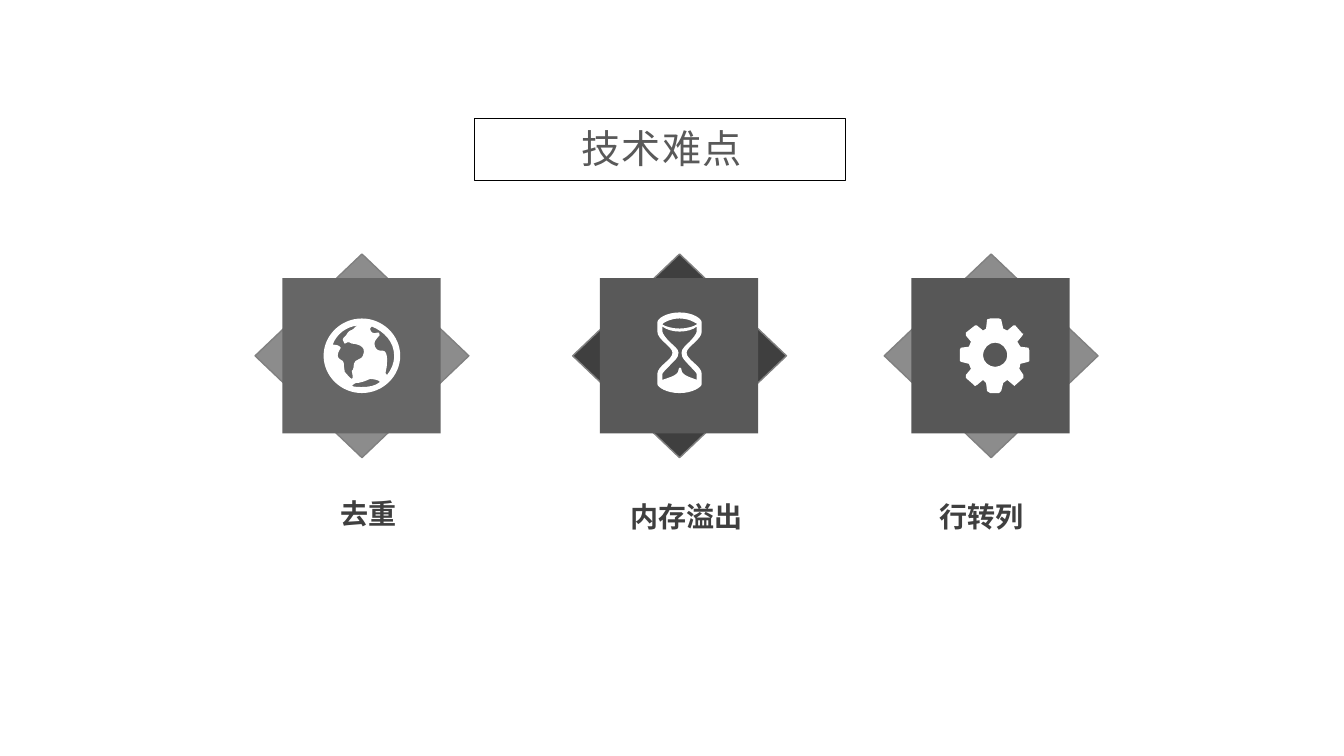
"""Build the slide of three technical difficulties, each with a badge and a label."""
from dataclasses import dataclass

import pptx
import pptx.dml.color
import pptx.enum.shapes
import pptx.enum.text
import pptx.oxml.ns
import pptx.shapes.autoshape
import pptx.slide
import pptx.text.text
import pptx.util

RGB = pptx.dml.color.RGBColor
KIND = pptx.enum.shapes.MSO_SHAPE
ALIGN = pptx.enum.text.PP_ALIGN
ANCHOR = pptx.enum.text.MSO_ANCHOR

PX = 9144
FONT = "Noto Sans CJK SC"
BLACK = RGB(0x00, 0x00, 0x00)
WHITE = RGB(0xFF, 0xFF, 0xFF)
DARK = RGB(0x3F, 0x3F, 0x3F)
SLATE = RGB(0x57, 0x57, 0x57)
STONE = RGB(0x59, 0x59, 0x59)
IRON = RGB(0x66, 0x66, 0x66)
EDGE = RGB(0x80, 0x80, 0x80)
LIGHT = RGB(0x8C, 0x8C, 0x8C)


@dataclass(frozen=True)
class Box:
    """Place and size in px."""
    left: int
    top: int
    width: int
    height: int

    def emu(self) -> list[pptx.util.Emu]:
        """Give the four lengths in EMU."""
        return [pptx.util.Emu(n * PX)
                for n in (self.left, self.top, self.width, self.height)]


@dataclass(frozen=True)
class Loop:
    """Closed outline: a start, then corners or triples of cubic curve points."""
    dots: str
    curved: bool = True

    def points(self, left: int, top: int) -> list[tuple[int, int]]:
        """Give the points in EMU, moved by left and top."""
        pairs = [dot.split(",") for dot in self.dots.split()]
        return [((left + int(x)) * PX, (top + int(y)) * PX) for x, y in pairs]


@dataclass(frozen=True)
class Icon:
    """White sign made of nested outlines."""
    left: int
    top: int
    loops: tuple[Loop, ...]


@dataclass(frozen=True)
class Badge:
    """Diamond and square with a sign, and the label below."""
    left: int
    back: RGB
    front: RGB
    icon: Icon
    label: str
    place: Box
    align: ALIGN


GLOBE = Icon(321, 316, (
    Loop("38,0 17,0 0,17 0,37 0,57 17,74 38,74 59,74 76,57 76,37 76,17 59,0 38,0"),
    Loop("70,37 70,45 67,51 63,56 62,56 60,53 62,51 63,48 63,42 63,40 "
         "63,37 62,32 59,32 55,32 53,32 51,28 48,19 59,18 55,14 "
         "53,13 48,18 46,10 46,10 48,8 48,8 60,13 70,23 70,37"),
    Loop("34,7 32,8 31,8 30,10 27,13 25,11 24,14 23,17 19,19 19,21 "
         "19,22 21,25 21,25 23,23 25,23 28,25 30,25 44,26 39,37 "
         "38,41 31,40 30,45 30,46 30,51 28,52 28,53 30,60 28,60 "
         "27,60 21,53 21,53 21,52 20,48 20,44 20,41 14,41 14,37 "
         "14,33 17,30 17,29 16,26 10,26 9,26 13,15 23,8 34,7"),
    Loop("28,67 30,66 30,64 32,64 34,64 35,64 38,63 39,63 44,61 46,60 "
         "49,60 55,61 56,63 51,67 45,68 38,68 35,68 31,68 28,67"),
))
GLASS = Icon(652, 310, (
    Loop("44,19 44,10 44,10 44,10 44,6 35,0 22,0 9,0 0,6 0,10 "
         "0,10 0,10 0,19 0,27 15,34 15,40 15,47 0,53 0,61 "
         "0,70 0,71 0,71 0,74 9,80 22,80 35,80 44,74 44,71 "
         "44,71 44,70 44,61 44,53 29,47 29,40 29,34 44,27 44,19"),
    Loop("7,10 9,9 14,6 22,6 31,6 37,10 37,10 39,10 40,12 39,12 "
         "36,14 29,16 22,16 15,16 8,14 5,12 4,12 7,10 7,10"),
    Loop("24,40 24,46 28,48 32,53 35,56 39,60 39,61 39,67 39,67 39,67 "
         "36,65 24,63 24,57 24,54 21,54 21,57 21,63 9,65 5,67 "
         "5,61 5,61 5,61 5,60 9,56 12,53 16,48 21,46 21,40 "
         "21,36 16,33 12,29 9,26 5,21 5,19 5,14 5,14 5,14 "
         "9,17 15,19 22,19 29,19 36,17 39,14 39,19 39,19 39,19 "
         "39,21 35,26 32,29 28,33 24,36 24,40"),
))
GEAR = Icon(952, 316, (
    Loop("69,42 68,43 60,45 59,50 63,56 63,59 54,67 53,66 47,61 43,64 41,72 "
         "39,74 30,74 27,72 26,64 23,61 17,66 15,67 14,66 6,59 6,56 11,50 "
         "9,45 1,43 0,42 0,31 1,29 9,28 11,23 6,17 6,14 15,7 17,7 23,12 "
         "26,10 27,1 30,0 39,0 41,1 43,10 47,12 53,7 55,7 62,15 63,15 "
         "62,17 57,23 60,28 68,29 69,32", curved=False),
    Loop("35,24 29,24 23,29 23,37 23,43 29,48 35,48 "
         "41,48 47,43 47,37 47,29 41,24 35,24"),
))
BADGES = (
    Badge(253, LIGHT, IRON, GLOBE, "去重", Box(230, 488, 271, 44), ALIGN.CENTER),
    Badge(568, DARK, STONE, GLASS, "内存溢出", Box(545, 491, 271, 44), ALIGN.CENTER),
    Badge(877, LIGHT, SLATE, GEAR, "行转列", Box(922, 491, 130, 44), ALIGN.LEFT),
)


def add_run(para: pptx.text.text._Paragraph, text: str, size: int,
            tint: RGB, bold: bool) -> pptx.text.text._Run:
    """Add one styled run."""
    run = para.add_run()
    run.text = text
    run.font.size = pptx.util.Pt(size)
    run.font.bold = bold
    run.font.color.rgb = tint
    run.font.name = FONT
    east = run.font._element.makeelement(pptx.oxml.ns.qn("a:ea"), {"typeface": FONT})
    run.font._element.find(pptx.oxml.ns.qn("a:latin")).addnext(east)
    return run


def add_block(slide: pptx.slide.Slide, kind: KIND, box: Box,
              fill: RGB | None) -> pptx.shapes.autoshape.Shape:
    """Add a plain preset shape without a line."""
    shape = slide.shapes.add_shape(kind, *box.emu())
    shape.shadow.inherit = False
    if fill is None:
        shape.fill.background()
    else:
        shape.fill.solid()
        shape.fill.fore_color.rgb = fill
    shape.line.fill.background()
    return shape


def set_line(shape: pptx.shapes.autoshape.Shape, tint: RGB, width: float) -> None:
    """Give a shape a solid line."""
    shape.line.color.rgb = tint
    shape.line.width = pptx.util.Pt(width)


def bend(shape: pptx.shapes.autoshape.Shape, loops: tuple[Loop, ...]) -> None:
    """Join each triple of lines in the curved loops into one cubic curve."""
    qn = pptx.oxml.ns.qn
    starts = list(shape._element.iter(qn("a:moveTo")))
    for start, loop in zip(starts, loops):
        if not loop.curved:
            continue
        lines = []
        for node in start.itersiblings():
            if node.tag != qn("a:lnTo"):
                break
            lines.append(node)
        for i in range(0, len(lines), 3):
            curve = start.makeelement(qn("a:cubicBezTo"), {})
            lines[i].addprevious(curve)
            for line in lines[i:i + 3]:
                curve.append(line[0])
                line.getparent().remove(line)


def add_icon(slide: pptx.slide.Slide, icon: Icon) -> None:
    """Draw a sign as one shape with holes."""
    loops = [loop.points(icon.left, icon.top) for loop in icon.loops]
    pen = slide.shapes.build_freeform(*loops[0][0])
    for i, loop in enumerate(loops):
        if i:
            pen.move_to(*loop[0])
        pen.add_line_segments(loop[1:], close=True)
    shape = pen.convert_to_shape()
    bend(shape, icon.loops)
    shape.shadow.inherit = False
    shape.fill.solid()
    shape.fill.fore_color.rgb = WHITE
    shape.line.fill.background()


def add_title(slide: pptx.slide.Slide) -> None:
    """Fill the title and frame it."""
    title = slide.shapes.title
    title.left, title.top, title.width, title.height = Box(470, 124, 372, 53).emu()
    frame = title.text_frame
    frame.vertical_anchor = ANCHOR.TOP
    frame.auto_size = pptx.enum.text.MSO_AUTO_SIZE.NONE
    frame.word_wrap = True
    para = frame.paragraphs[0]
    para.alignment = ALIGN.CENTER
    para.line_spacing = 0.9
    add_run(para, "技术难点", 28, STONE, False).font._element.set("spc", "100")
    border = add_block(slide, KIND.ROUNDED_RECTANGLE, Box(470, 117, 368, 62), None)
    border.adjustments[0] = 0
    set_line(border, BLACK, 0.25)


def add_badge(slide: pptx.slide.Slide, badge: Badge) -> None:
    """Draw one badge with its label."""
    back = add_block(slide, KIND.DIAMOND, Box(badge.left, 252, 212, 202), badge.back)
    set_line(back, EDGE, 1)
    add_block(slide, KIND.RECTANGLE, Box(badge.left + 27, 276, 157, 154), badge.front)
    add_icon(slide, badge.icon)
    frame = slide.shapes.add_textbox(*badge.place.emu()).text_frame
    frame.word_wrap = True
    frame.paragraphs[0].alignment = badge.align
    add_run(frame.paragraphs[0], badge.label, 20, DARK, True)


def main() -> None:
    """Build and save the deck."""
    deck = pptx.Presentation()
    deck.slide_width, deck.slide_height = Box(0, 0, 1333, 750).emu()[2:]
    slide = deck.slides.add_slide(deck.slide_layouts[5])
    add_title(slide)
    for badge in BADGES:
        add_badge(slide, badge)
    deck.save("out.pptx")


if __name__ == "__main__":
    main()
